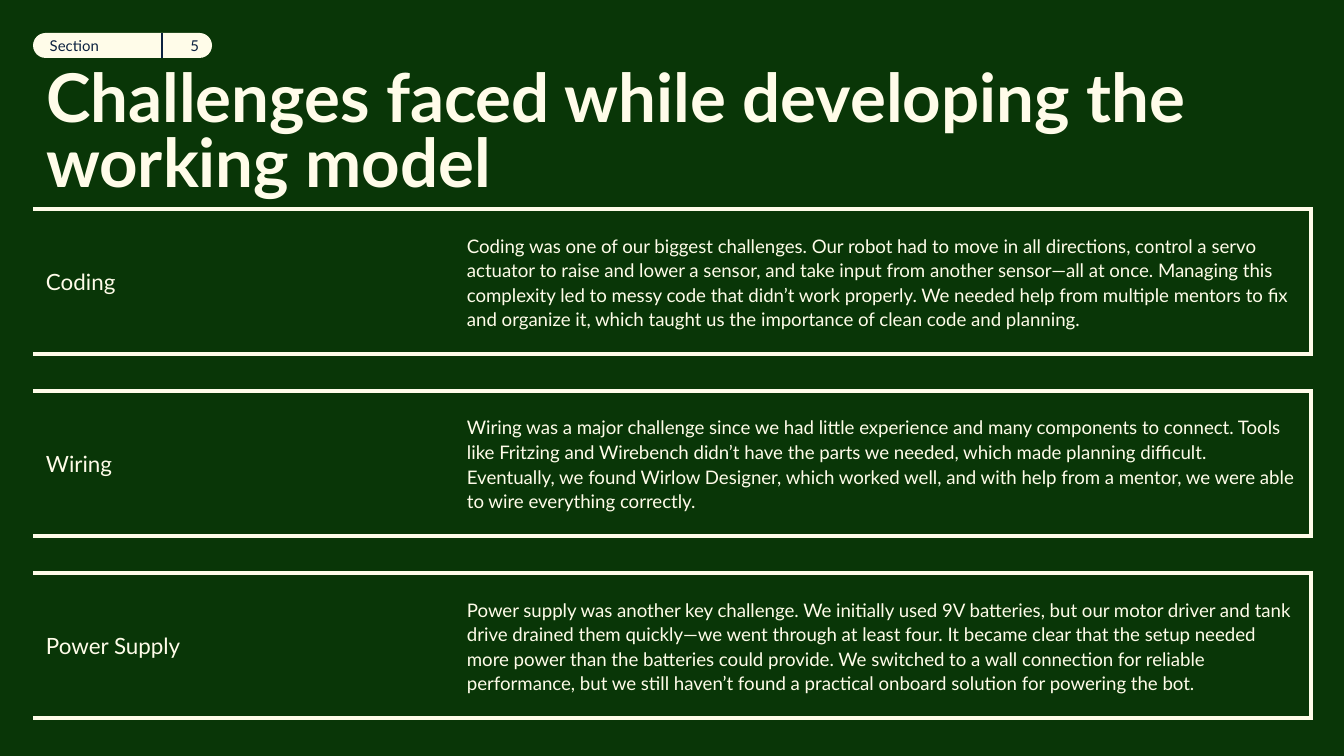
from dataclasses import dataclass

from lxml.etree import SubElement
from pptx import Presentation
from pptx.dml.color import RGBColor
from pptx.enum.shapes import MSO_CONNECTOR, MSO_SHAPE
from pptx.enum.text import MSO_ANCHOR, PP_ALIGN
from pptx.oxml.ns import qn
from pptx.util import Emu, Pt


@dataclass(frozen=True)
class Theme:
    background: str = "093607"
    cream: str = "FFFCE9"
    navy: str = "0B213F"
    font: str = "Lato"
    title_size: int = 36
    label_size: int = 12
    body_size: int = 10
    badge_size: int = 8
    frame_width: float = 2.25
    divider_width: float = 0.75


THEME = Theme()
EMU_PER_PX = 914400 / 134.4
INSET = 13
LEFT = 33
BADGE_TOP, BADGE_WIDTH, BADGE_HEIGHT = 33, 179, 25
DIVIDER_X = 162
FIRST_ROW_TOP, ROW_PITCH, ROW_HEIGHT = 209, 182, 145
FRAME_WIDTH, LABEL_WIDTH = 1278, 314
BODY_LEFT, BODY_WIDTH = 454, 857

CHALLENGES = [
    ("Coding",
     "Coding was one of our biggest challenges. Our robot had to move in all directions, "
     "control a servo actuator to raise and lower a sensor, and take input from another "
     "sensor—all at once. Managing this complexity led to messy code that didn’t work "
     "properly. We needed help from multiple mentors to fix and organize it, which taught "
     "us the importance of clean code and planning."),
    ("Wiring",
     "Wiring was a major challenge since we had little experience and many components to "
     "connect. Tools like Fritzing and Wirebench didn’t have the parts we needed, which "
     "made planning difficult. Eventually, we found Wirlow Designer, which worked well, and "
     "with help from a mentor, we were able to wire everything correctly."),
    ("Power Supply",
     "Power supply was another key challenge. We initially used 9V batteries, but our motor "
     "driver and tank drive drained them quickly—we went through at least four. It became "
     "clear that the setup needed more power than the batteries could provide. We switched "
     "to a wall connection for reliable performance, but we still haven’t found a practical "
     "onboard solution for powering the bot."),
]


def px(length):
    return Emu(round(length * EMU_PER_PX))


def box(*lengths):
    return [px(length) for length in lengths]


def rgb(color):
    return RGBColor.from_string(color)


def write(shape, text, *, size, color=THEME.cream, bold=False, align=PP_ALIGN.LEFT,
          anchor=MSO_ANCHOR.MIDDLE, spacing=1.0):
    frame = shape.text_frame
    frame.word_wrap = True
    frame.vertical_anchor = anchor
    frame.margin_left = frame.margin_right = px(INSET)
    frame.margin_top = frame.margin_bottom = px(INSET)
    paragraph = frame.paragraphs[0]
    paragraph.alignment = align
    paragraph.line_spacing = spacing
    run = paragraph.add_run()
    run.text = text
    run.font.name = THEME.font
    run.font.size = Pt(size)
    run.font.bold = bold
    run.font.color.rgb = rgb(color)


def add_text(slide, bounds, text, **style):
    write(slide.shapes.add_textbox(*box(*bounds)), text, **style)


def set_border(cell, side, color=None):
    border = SubElement(cell._tc.get_or_add_tcPr(), qn(f"a:ln{side}"))
    border.set("w", str(Pt(THEME.frame_width)))
    if color is None:
        SubElement(border, qn("a:noFill"))
        return
    fill = SubElement(border, qn("a:solidFill"))
    SubElement(fill, qn("a:srgbClr")).set("val", color)


def add_frame(slide, top):
    frame = slide.shapes.add_table(1, 1, *box(LEFT, top, FRAME_WIDTH, ROW_HEIGHT)).table
    frame.first_row = False
    frame.horz_banding = False
    cell = frame.cell(0, 0)
    set_border(cell, "L")
    for side in "RTB":
        set_border(cell, side, THEME.cream)
    cell.fill.background()


def add_badge(slide, section, number):
    badge = slide.shapes.add_shape(
        MSO_SHAPE.ROUNDED_RECTANGLE, *box(LEFT, BADGE_TOP, BADGE_WIDTH, BADGE_HEIGHT))
    badge.adjustments[0] = 0.5
    badge.shadow.inherit = False
    badge.fill.solid()
    badge.fill.fore_color.rgb = rgb(THEME.cream)
    badge.line.fill.background()
    write(badge, section, size=THEME.badge_size, color=THEME.navy)

    divider = slide.shapes.add_connector(
        MSO_CONNECTOR.STRAIGHT,
        *box(DIVIDER_X, BADGE_TOP, DIVIDER_X, BADGE_TOP + BADGE_HEIGHT))
    divider.line.color.rgb = rgb(THEME.navy)
    divider.line.width = Pt(THEME.divider_width)
    SubElement(divider._element.spPr, qn("a:effectLst"))

    number_width = LEFT + BADGE_WIDTH - DIVIDER_X
    add_text(slide, (DIVIDER_X, BADGE_TOP, number_width, BADGE_HEIGHT), number,
             size=THEME.badge_size, color=THEME.navy, align=PP_ALIGN.RIGHT)


def add_challenge(slide, top, label, description):
    add_frame(slide, top)
    add_text(slide, (LEFT, top, LABEL_WIDTH, ROW_HEIGHT), label, size=THEME.label_size)
    add_text(slide, (BODY_LEFT, top, BODY_WIDTH, ROW_HEIGHT), description,
             size=THEME.body_size, spacing=1.1)


def main():
    deck = Presentation()
    deck.slide_width, deck.slide_height = box(1344, 756)
    slide = deck.slides.add_slide(deck.slide_layouts[6])
    slide.background.fill.solid()
    slide.background.fill.fore_color.rgb = rgb(THEME.background)

    add_text(slide, (LEFT, 58, 1172, 82),
             "Challenges faced while developing the working model",
             size=THEME.title_size, bold=True, anchor=MSO_ANCHOR.TOP, spacing=0.8)
    for row, (label, description) in enumerate(CHALLENGES):
        add_challenge(slide, FIRST_ROW_TOP + row * ROW_PITCH, label, description)
    add_badge(slide, "Section", "5")

    deck.save("out.pptx")


if __name__ == "__main__":
    main()
